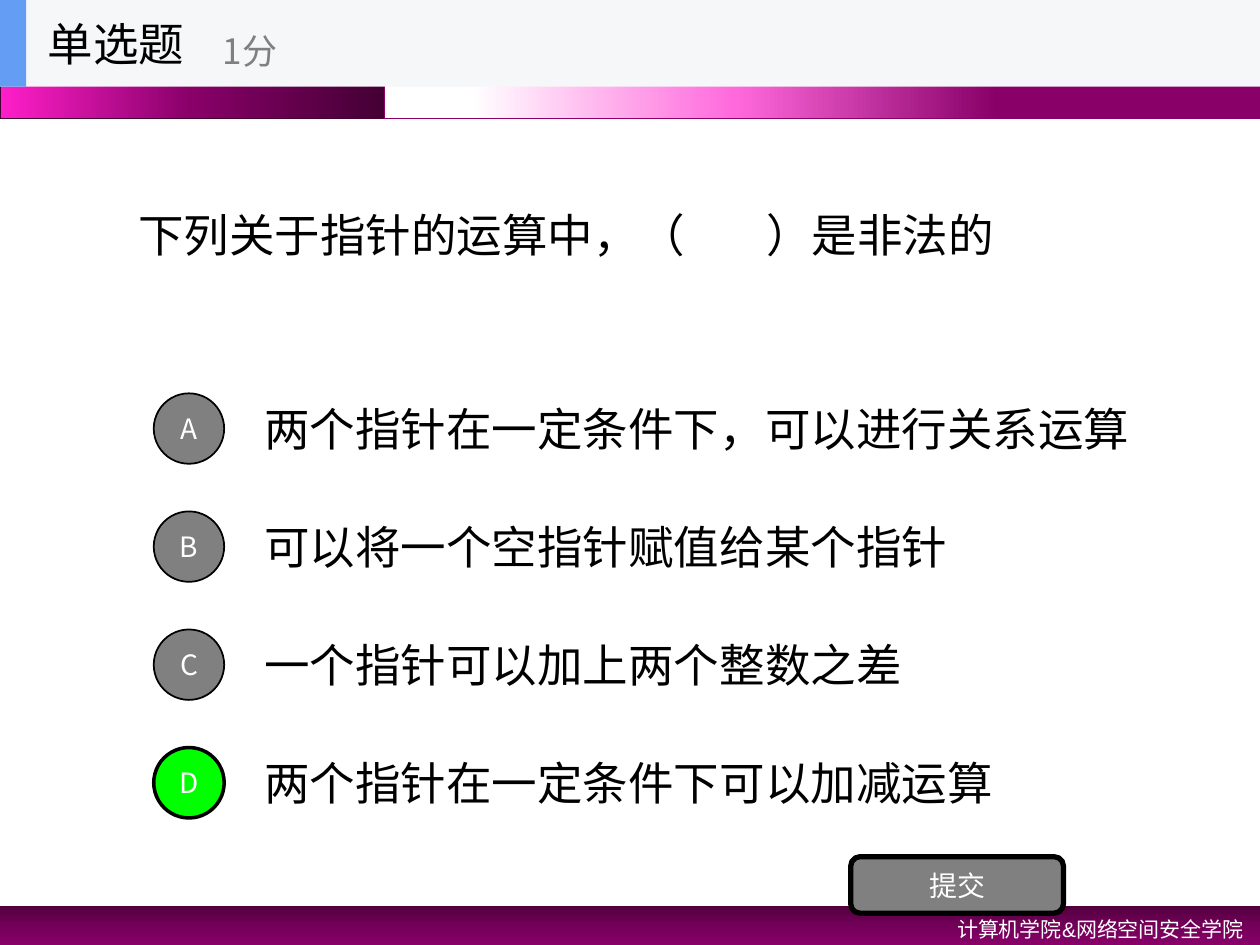
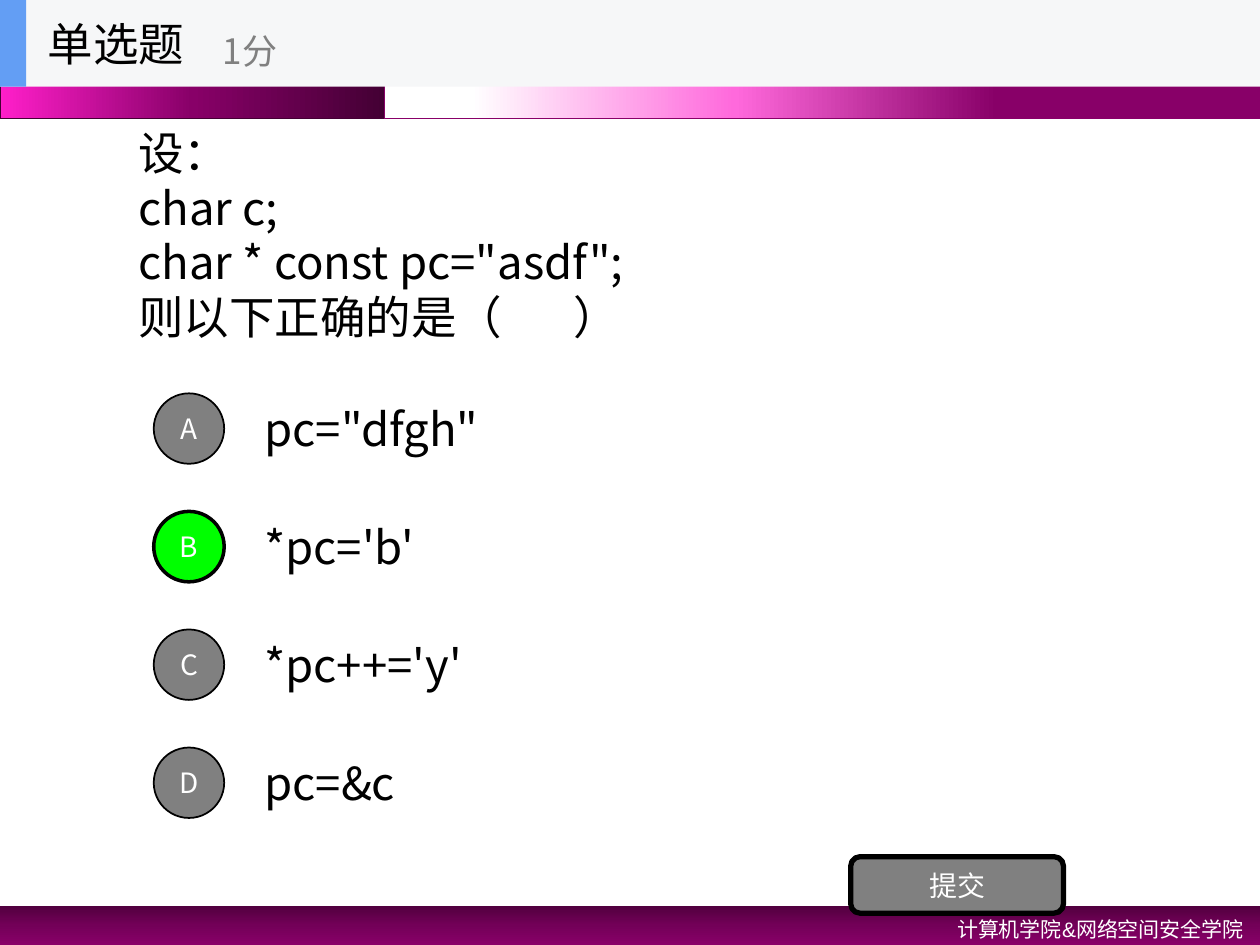
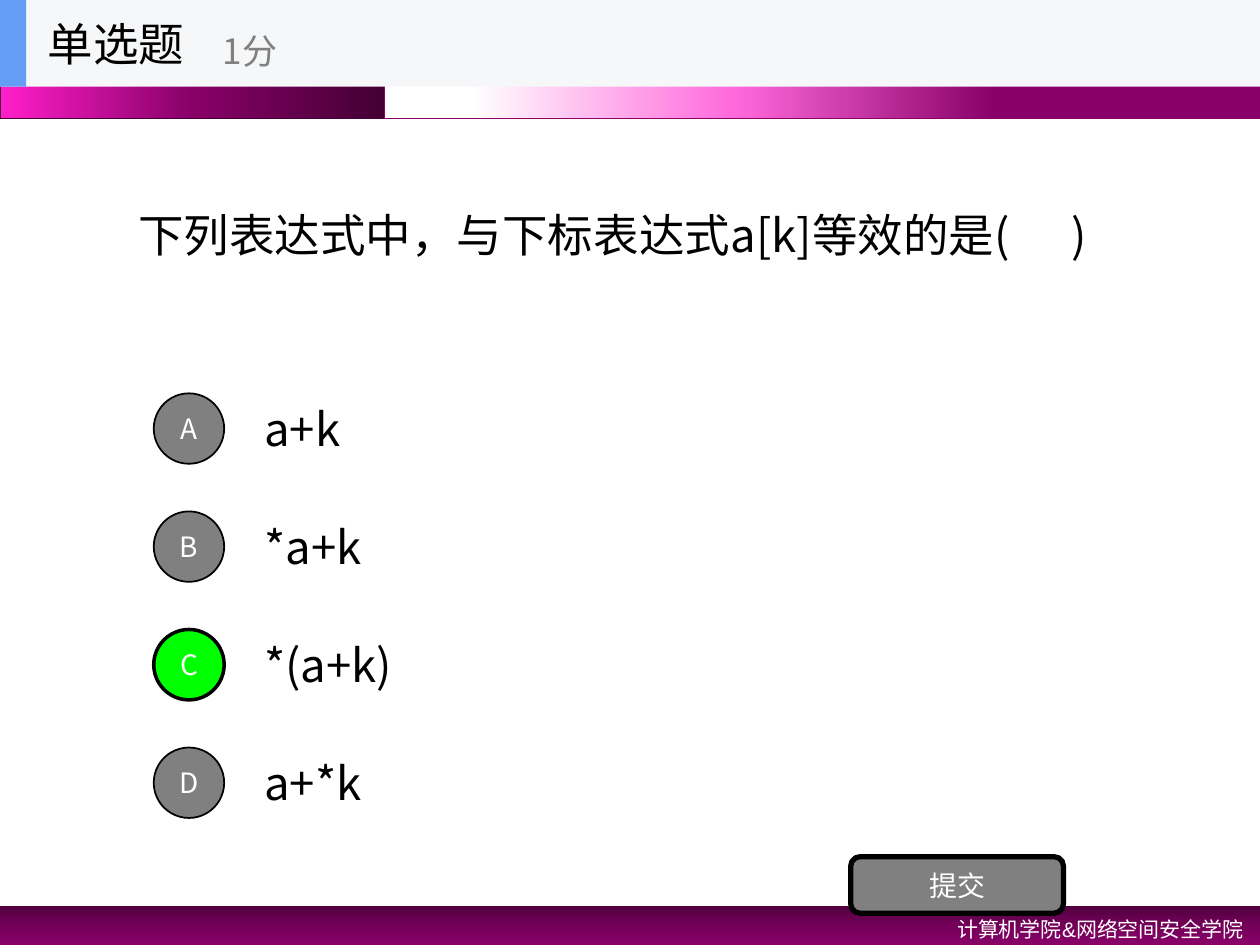
from lxml import etree
from pptx import Presentation
from pptx.dml.color import RGBColor
from pptx.enum.shapes import MSO_SHAPE
from pptx.enum.text import MSO_ANCHOR, MSO_AUTO_SIZE, PP_ALIGN
from pptx.oxml.ns import qn
from pptx.util import Cm, Pt

RECT, OVAL, ROUNDED = MSO_SHAPE.RECTANGLE, MSO_SHAPE.OVAL, MSO_SHAPE.ROUNDED_RECTANGLE
LEFT, CENTER, RIGHT = PP_ALIGN.LEFT, PP_ALIGN.CENTER, PP_ALIGN.RIGHT
TOP, MIDDLE = MSO_ANCHOR.TOP, MSO_ANCHOR.MIDDLE
NO_AUTOFIT = MSO_AUTO_SIZE.NONE

BLACK = RGBColor(0x00, 0x00, 0x00)
WHITE = RGBColor(0xFF, 0xFF, 0xFF)
GRAY = RGBColor(0x80, 0x80, 0x80)
GREEN = RGBColor(0x00, 0xFF, 0x00)
PALE = RGBColor(0xF6, 0xF7, 0xF8)
BLUE = RGBColor(0x63, 0x9E, 0xF4)
PLUM = RGBColor(0x88, 0x00, 0x68)
MID_PLUM = RGBColor(0x73, 0x00, 0x58)
DEEP_PLUM = RGBColor(0x51, 0x00, 0x3E)
DARK_PLUM = RGBColor(0x44, 0x00, 0x34)
MAGENTA = RGBColor(0xFF, 0x1F, 0xCA)
PINK = RGBColor(0xFF, 0x69, 0xDC)

CJK_FONT = "Noto Sans CJK SC"
BODY = {"size": Pt(26), "name": CJK_FONT, "color": BLACK}
POINTS = {"size": Pt(20), "name": CJK_FONT, "color": GRAY}
BUTTON = {"size": Pt(16), "name": CJK_FONT, "color": WHITE}
FOOTER = {"size": Pt(12), "name": "Arial", "color": WHITE}

HEADING = "单选题"
SCORE = "1分"
SUBMIT = "提交"
SCHOOL = "计算机学院&网络空间安全学院"

QUESTIONS = [
    {
        "question": ["下列关于指针的运算中，（        ）是非法的"],
        "options": [
            "两个指针在一定条件下，可以进行关系运算",
            "可以将一个空指针赋值给某个指针",
            "一个指针可以加上两个整数之差",
            "两个指针在一定条件下可以加减运算",
        ],
        "answer": "D",
    },
    {
        "question": [
            "设：",
            "char c;",
            'char * const pc="asdf";',
            "则以下正确的是（       ）",
        ],
        "options": ['pc="dfgh"', "*pc='b'", "*pc++='y'", "pc=&c"],
        "answer": "B",
    },
    {
        "question": ["下列表达式中，与下标表达式a[k]等效的是(      )"],
        "options": ["a+k", "*a+k", "*(a+k)", "a+*k"],
        "answer": "C",
    },
]

PAGE_W, PAGE_H = 25.4, 19.05
HEADER_H, BAND_H, BAND_SPLIT = 1.75, 2.39, 7.75
FOOTER_TOP = 18.26
OPTION_TOP, OPTION_STEP, OPTION_H = 7.75, 2.38, 1.78
OPTION_W, WIDE_OPTION_W, LONG_OPTION = 17.78, 19.08, 18
CIRCLE = 1.42

BANDS = [
    {
        "box": (0, FOOTER_TOP, PAGE_W, PAGE_H - FOOTER_TOP),
        "stops": [(0, DEEP_PLUM), (50, MID_PLUM), (100, PLUM)],
        "angle": 270,
        "line": None,
    },
    {
        "box": (0, 0, BAND_SPLIT, BAND_H),
        "stops": [(0, DARK_PLUM), (50, PLUM), (100, MAGENTA)],
        "angle": 180,
        "line": (DARK_PLUM, 1),
    },
    {
        "box": (BAND_SPLIT, 0, PAGE_W - BAND_SPLIT, BAND_H),
        "stops": [(30, PLUM), (60, PINK), (90, WHITE)],
        "angle": 180,
        "line": (PLUM, 1),
    },
]


def lengths(box):
    return [Cm(value) for value in box]


def write(shape, lines, style, align=LEFT, anchor=MIDDLE, spacing=None):
    frame = shape.text_frame
    frame.word_wrap = True
    frame.auto_size = NO_AUTOFIT
    frame.vertical_anchor = anchor
    for index, line in enumerate(lines):
        paragraph = frame.add_paragraph() if index else frame.paragraphs[0]
        paragraph.alignment = align
        paragraph.line_spacing = spacing
        run = paragraph.add_run()
        run.text = line
        for key, value in style.items():
            if key == "color":
                run.font.color.rgb = value
            else:
                setattr(run.font, key, value)
        etree.SubElement(run.font._element, qn("a:ea"), typeface=CJK_FONT)


def add_text(slide, box, lines, style, **layout):
    write(slide.shapes.add_textbox(*lengths(box)), lines, style, **layout)


def add_block(slide, kind, box, fill=None, line=None):
    block = slide.shapes.add_shape(kind, *lengths(box))
    block.shadow.inherit = False
    if fill is not None:
        block.fill.solid()
        block.fill.fore_color.rgb = fill
    if line:
        color, width = line
        block.line.color.rgb = color
        block.line.width = Pt(width)
    else:
        block.line.fill.background()
    return block


def add_button(slide, kind, box, label, fill, border):
    button = add_block(slide, kind, box, fill, (BLACK, border))
    for side in ("left", "right", "top", "bottom"):
        setattr(button.text_frame, f"margin_{side}", 0)
    write(button, [label], BUTTON, CENTER)


def fill_gradient(shape, stops, angle):
    shape.fill.gradient()
    shape.fill.gradient_angle = angle
    stop_list = shape.element.spPr.find(".//" + qn("a:gsLst"))
    for old in list(stop_list):
        stop_list.remove(old)
    for percent, color in stops:
        stop = etree.SubElement(stop_list, qn("a:gs"), pos=str(percent * 1000))
        etree.SubElement(stop, qn("a:srgbClr"), val=str(color))


def move_to_layout(slide, layout):
    shared = [shape for shape in slide.shapes if not shape.is_placeholder]
    first_id = max(shape.shape_id for shape in layout.shapes) + 1
    for number, shape in enumerate(shared, first_id):
        shape.element.nvSpPr.cNvPr.set("id", str(number))
        layout.shapes.element.append(shape.element)


def draw_shared(slide, layout):
    for band in BANDS:
        shape = add_block(slide, RECT, band["box"], line=band["line"])
        fill_gradient(shape, band["stops"], band["angle"])
    add_text(slide, (16.31, FOOTER_TOP, 9.02, 0.81), [SCHOOL], FOOTER,
             align=RIGHT, anchor=TOP, spacing=1.2)
    move_to_layout(slide, layout)


def draw_header(slide):
    add_block(slide, RECT, (0, 0, PAGE_W, HEADER_H), PALE)
    add_block(slide, RECT, (0, 0, 0.53, HEADER_H), BLUE)
    title = slide.shapes.title
    title.left, title.top, title.width, title.height = lengths((0.71, 0, 5.28, HEADER_H))
    write(title, [HEADING], BODY)
    slide.shapes.element.append(title.element)
    add_text(slide, (4.24, 0.3, 6.35, 1.42), [SCORE], POINTS)


def draw_question(slide, content):
    add_text(slide, (2.54, HEADER_H, 20.32, 5.94), content["question"], BODY)
    for row, (letter, option) in enumerate(zip("ABCD", content["options"])):
        top = OPTION_TOP + row * OPTION_STEP
        width = WIDE_OPTION_W if len(option) > LONG_OPTION else OPTION_W
        add_text(slide, (5.08, top, width, OPTION_H), [option], BODY)
        fill, border = (GREEN, 2) if letter == content["answer"] else (GRAY, 1)
        circle_top = top + (OPTION_H - CIRCLE) / 2
        add_button(slide, OVAL, (3.1, circle_top, CIRCLE, CIRCLE), letter, fill, border)
    add_button(slide, ROUNDED, (17.15, 17.27, 4.29, 1.14), SUBMIT, GRAY, 3)


def main():
    deck = Presentation()
    deck.slide_width, deck.slide_height = Cm(PAGE_W), Cm(PAGE_H)
    layout = deck.slide_layouts[5]
    for number, content in enumerate(QUESTIONS):
        slide = deck.slides.add_slide(layout)
        if number == 0:
            draw_shared(slide, layout)
        draw_question(slide, content)
        draw_header(slide)
    deck.save("out.pptx")


if __name__ == "__main__":
    main()
